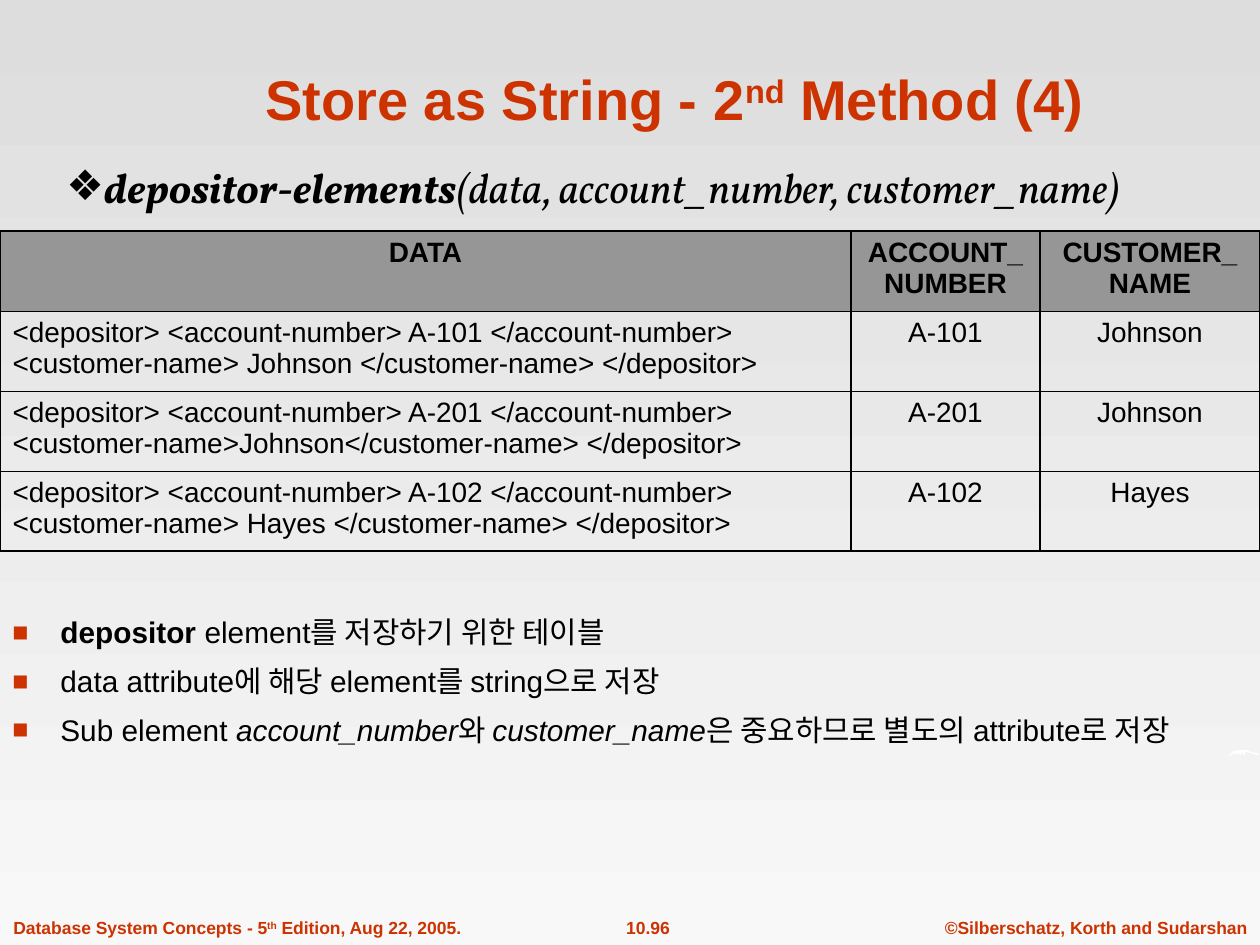
from dataclasses import dataclass
from typing import Optional

from lxml import etree
from pptx import Presentation
from pptx import util as u
from pptx.dml.color import RGBColor
from pptx.enum import text
from pptx.oxml.ns import qn

RED = RGBColor(0xCC, 0x33, 0x00)
BLACK = RGBColor(0, 0, 0)
WHITE = RGBColor(0xFF, 0xFF, 0xFF)
HEADER_GRAY = RGBColor(0x96, 0x96, 0x96)
TOP_GRAY = RGBColor(0xDD, 0xDD, 0xDD)
BOTTOM_GRAY = RGBColor(0xF8, 0xF8, 0xF8)

PX_PER_INCH = 126
LEFT, CENTER = text.PP_ALIGN.LEFT, text.PP_ALIGN.CENTER
OUTER_LINE, INNER_LINE = u.Pt(1.08), u.Pt(0.45)


@dataclass
class Run:
    text: str
    bold: Optional[bool] = None
    italic: Optional[bool] = None
    superscript: bool = False


@dataclass
class Bullet:
    char: str
    color: RGBColor
    percent: int = 100
    indent: int = 0


@dataclass
class Style:
    size: float
    color: RGBColor
    bold: Optional[bool] = None
    italic: Optional[bool] = None
    font: str = "Arial"
    align: text.PP_ALIGN = LEFT
    space_before: float = 0
    bullet: Optional[Bullet] = None


@dataclass
class TextBlock:
    left: int
    top: int
    width: int
    height: int
    style: Style
    paragraphs: list[list[Run]]
    wrap: bool = True
    anchor: text.MSO_ANCHOR = text.MSO_ANCHOR.TOP


def px(length: int) -> int:
    return round(length * u.Inches(1) / PX_PER_INCH)


def add_bullet(paragraph, bullet: Bullet) -> None:
    properties = paragraph._p.get_or_add_pPr()
    properties.set("marL", str(px(bullet.indent)))
    properties.set("indent", str(-px(bullet.indent)))
    color = etree.SubElement(properties, qn("a:buClr"))
    etree.SubElement(color, qn("a:srgbClr"), val=str(bullet.color))
    etree.SubElement(properties, qn("a:buSzPct"), val=str(bullet.percent * 1000))
    etree.SubElement(properties, qn("a:buFont"), typeface="Arial")
    etree.SubElement(properties, qn("a:buChar"), char=bullet.char)


def fill_paragraph(paragraph, runs: list[Run], style: Style) -> None:
    if style.bullet:
        add_bullet(paragraph, style.bullet)
    paragraph.alignment = style.align
    font = paragraph.font
    font.name, font.size = style.font, u.Pt(style.size)
    font.bold, font.italic = style.bold, style.italic
    font.color.rgb = style.color
    for part in runs:
        run = paragraph.add_run()
        run.text = part.text
        if part.bold is not None:
            run.font.bold = part.bold
        if part.italic is not None:
            run.font.italic = part.italic
        if part.superscript:
            run._r.get_or_add_rPr().set("baseline", "30000")


def add_text(slide, block: TextBlock) -> None:
    box = slide.shapes.add_textbox(
        px(block.left), px(block.top), px(block.width), px(block.height))
    frame = box.text_frame
    frame.word_wrap = block.wrap
    frame.vertical_anchor = block.anchor
    for index, runs in enumerate(block.paragraphs):
        paragraph = frame.add_paragraph() if index else frame.paragraphs[0]
        fill_paragraph(paragraph, runs, block.style)
        if index:
            paragraph.space_before = u.Pt(block.style.space_before)


def set_borders(cell, first: bool, last: bool) -> None:
    widths = {
        "a:lnL": OUTER_LINE,
        "a:lnR": OUTER_LINE,
        "a:lnT": OUTER_LINE if first else INNER_LINE,
        "a:lnB": OUTER_LINE if last else INNER_LINE,
    }
    properties = cell._tc.get_or_add_tcPr()
    for tag, width in widths.items():
        line = etree.SubElement(properties, qn(tag), w=str(int(width)))
        fill = etree.SubElement(line, qn("a:solidFill"))
        etree.SubElement(fill, qn("a:srgbClr"), val=str(BLACK))


def add_depositor_table(slide) -> None:
    depositors = [("A-101", " Johnson "), ("A-201", "Johnson"), ("A-102", " Hayes ")]
    rows = [("DATA", "ACCOUNT_NUMBER", "CUSTOMER_NAME")] + [
        (f"<depositor> <account-number> {account} </account-number> "
         f"<customer-name>{name}</customer-name> </depositor>", account, name.strip())
        for account, name in depositors]
    column_widths, row_height = (851, 189, 220), 80
    table = slide.shapes.add_table(
        len(rows), len(column_widths), 0, px(231),
        px(sum(column_widths)), px(row_height * len(rows))).table
    table.first_row = table.horz_banding = False
    for column, width in zip(table.columns, column_widths):
        column.width = px(width)
    for r, values in enumerate(rows):
        table.rows[r].height = px(row_height)
        header = r == 0
        for c, value in enumerate(values):
            cell = table.cell(r, c)
            set_borders(cell, header, r == len(rows) - 1)
            if header:
                cell.fill.solid()
                cell.fill.fore_color.rgb = HEADER_GRAY
            else:
                cell.fill.background()
            align = CENTER if header or c else LEFT
            fill_paragraph(cell.text_frame.paragraphs[0], [Run(value)],
                           Style(16, BLACK, bold=header, align=align))


def add_edge_mark(slide) -> None:
    outline = [(1228, 757), (1230, 754), (1234, 751), (1240, 750), (1246, 750),
               (1252, 752), (1260, 754), (1257, 755), (1251, 753), (1245, 752),
               (1245, 756), (1241, 752), (1241, 756), (1237, 752), (1238, 756),
               (1235, 753), (1231, 755)]
    builder = slide.shapes.build_freeform(
        *outline[0], scale=u.Inches(1) / PX_PER_INCH)
    builder.add_line_segments(outline[1:], close=True)
    mark = builder.convert_to_shape()
    mark.shadow.inherit = False
    mark.fill.solid()
    mark.fill.fore_color.rgb = WHITE
    mark.line.fill.background()


def main() -> None:
    presentation = Presentation()
    presentation.slide_width, presentation.slide_height = px(1260), px(945)
    slide = presentation.slides.add_slide(presentation.slide_layouts[6])
    background = slide.background.fill
    background.gradient()
    background.gradient_angle = 270
    for stop, color in zip(background.gradient_stops, (TOP_GRAY, BOTTOM_GRAY)):
        stop.color.rgb = color

    footer = Style(10, RED, bold=True)
    footer_centered = Style(10, RED, bold=True, align=CENTER)
    title = Style(32, RED, bold=True, align=CENTER)
    schema = Style(24, BLACK, italic=True, font="Vollkorn", bullet=Bullet("❖", BLACK))
    notes = Style(17, BLACK, space_before=7.4, bullet=Bullet("■", RED, 90, 48))

    add_text(slide, TextBlock(932, 911, 328, 34, footer_centered, [
        [Run("©Silberschatz, Korth and Sudarshan")]], wrap=False))
    add_text(slide, TextBlock(581, 911, 134, 34, footer_centered, [
        [Run("10.96")]], wrap=False))
    add_text(slide, TextBlock(1, 911, 474, 34, footer, [
        [Run("Database System Concepts - 5"), Run("th", superscript=True),
         Run(" Edition, Aug 22, 2005.")]], wrap=False))
    add_edge_mark(slide)
    add_text(slide, TextBlock(193, 20, 963, 118, title, [
        [Run("Store as String - 2"), Run("nd", superscript=True),
         Run(" Method (4)")]], anchor=text.MSO_ANCHOR.BOTTOM))
    add_depositor_table(slide)
    add_text(slide, TextBlock(54, 155, 1171, 113, schema, [
        [Run("depositor-elements", bold=True),
         Run("(data, account_number, customer_name)")]]))
    add_text(slide, TextBlock(0, 608, 1229, 165, notes, [
        [Run("depositor", bold=True), Run(" element를 저장하기 위한 테이블")],
        [Run("data attribute에 해당 element를 string으로 저장")],
        [Run("Sub element "), Run("account_number", italic=True), Run("와 "),
         Run("customer_name", italic=True),
         Run("은 중요하므로 별도의 attribute로 저장")]]))
    presentation.save("out.pptx")


if __name__ == "__main__":
    main()
